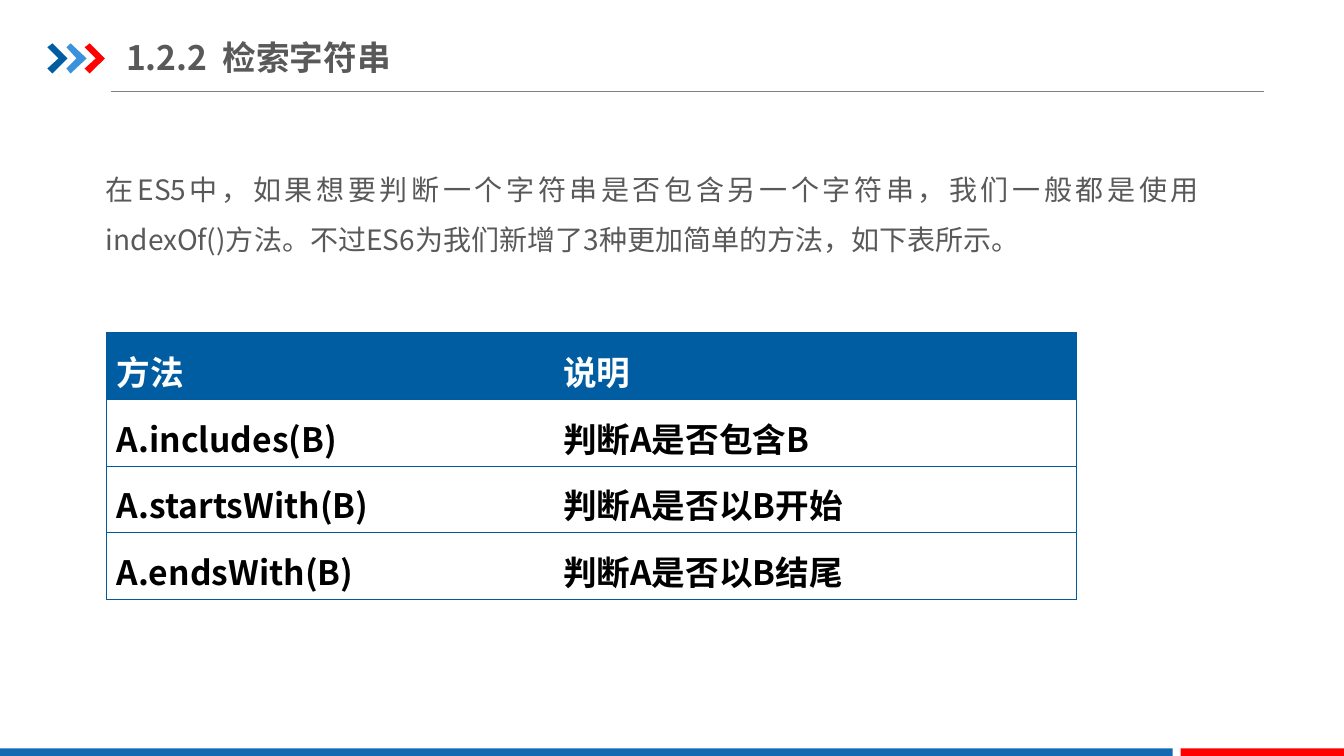
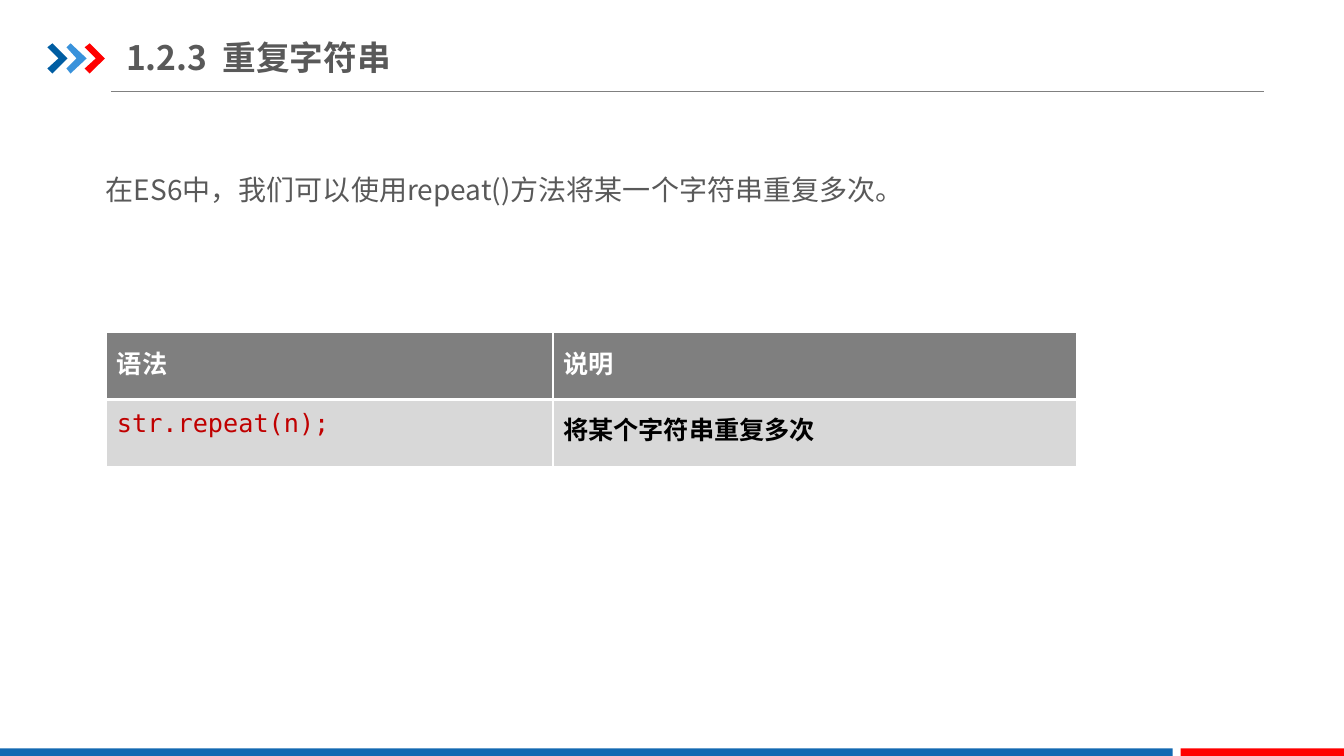
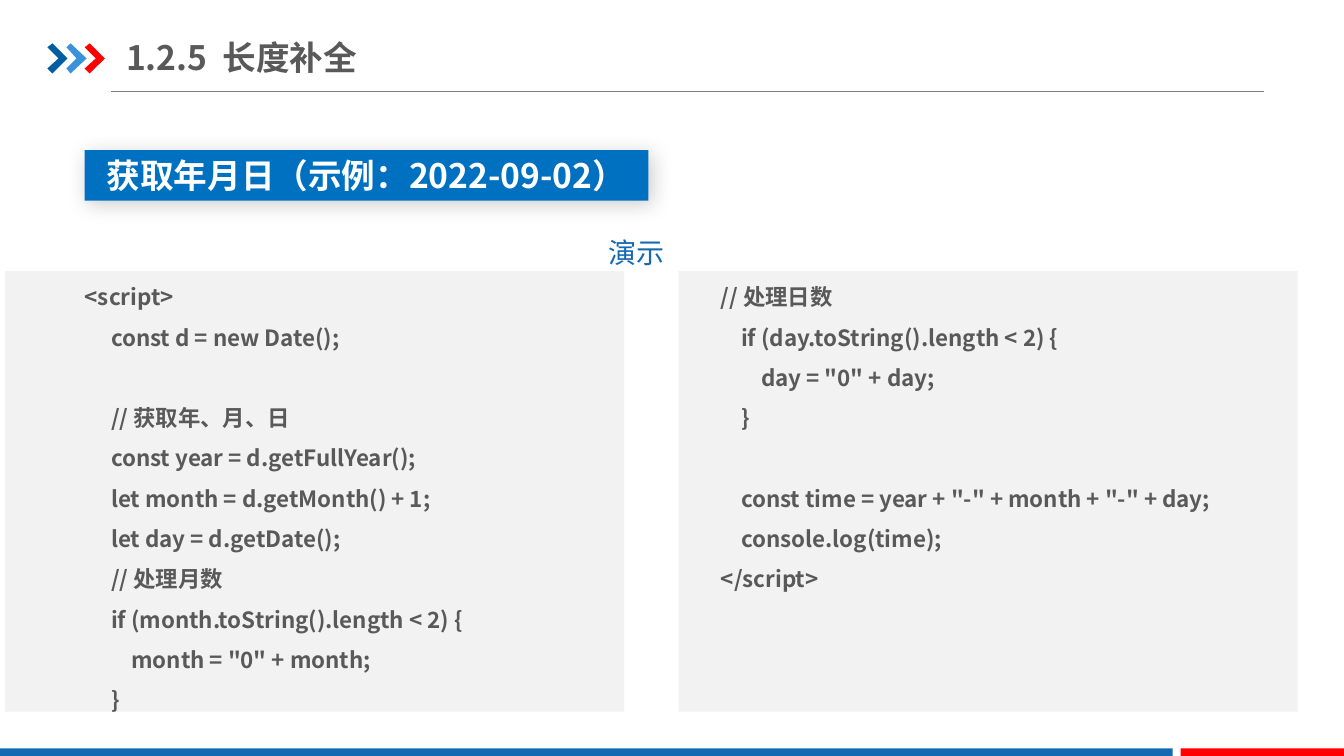
import pptx
import pptx.util
import pptx.dml.color
import pptx.enum.shapes
import pptx.enum.text
import pptx.oxml
import pptx.oxml.ns
import lxml.etree

Pt, Inches = pptx.util.Pt, pptx.util.Inches
ALIGN, ANCHOR = pptx.enum.text.PP_ALIGN, pptx.enum.text.MSO_ANCHOR
RECT = pptx.enum.shapes.MSO_SHAPE.RECTANGLE
WIDE, HIGH = Inches(13.33), Inches(7.5)

# Shared style
SANS, MONO = "Noto Sans CJK SC", "DejaVu Sans Mono"
GREY, BLUE, NAVY, RED = "595959", "1369B2", "005DA2", "FF0000"
WHITE, BLACK = "FFFFFF", "000000"
LINE_GAP = 28.7  # height of one code line, in points

LEFT_CODE = [
    (0.7, "<script>"),
    (2, "const d = new Date();"),
    None,
    (2, "// 获取年、月、日"),
    (2, "const year = d.getFullYear();"),
    (2, "let month = d.getMonth() + 1;"),
    (2, "let day = d.getDate();"),
    (2, "// 处理月数"),
    (2, "if (month.toString().length < 2) {"),
    (3, 'month = "0" + month;'),
    (2, "}"),
]
RIGHT_CODE = [
    (1, "// 处理日数"),
    (2, "if (day.toString().length < 2) {"),
    (3, 'day = "0" + day;'),
    (2, "}"),
    None,
    (2, 'const time = year + "-" + month + "-" + day;'),
    (2, "console.log(time);"),
    (1, "</script>"),
]


def color(code):
    return pptx.dml.color.RGBColor.from_string(code)


def area(x, y, w, h):
    """Turn shares of the slide, in percent, into lengths."""
    return [round(part * side / 100)
            for part, side in zip((x, y, w, h), (WIDE, HIGH, WIDE, HIGH))]


def move(shape, box):
    shape.left, shape.top, shape.width, shape.height = area(*box)


def child(parent, tag, **attrs):
    node = lxml.etree.SubElement(parent, pptx.oxml.ns.qn(tag))
    for key, value in attrs.items():
        node.set(key, str(value))
    return node


def paint(shape, code):
    shape.shadow.inherit = False
    shape.fill.solid()
    shape.fill.fore_color.rgb = color(code)
    shape.line.fill.background()


def block(slide, box, code):
    shape = slide.shapes.add_shape(RECT, *area(*box))
    paint(shape, code)
    return shape


def style(frame, size, code, bold=False, font=SANS, align=ALIGN.LEFT, space=None):
    for para in frame.paragraphs:
        para.alignment = align
        para.line_spacing = space
        para.space_before = Pt(0)
        for run in para.runs:
            run.font.size, run.font.bold, run.font.name = Pt(size), bold, font
            run.font.color.rgb = color(code)
            child(run.font._element, "a:ea", typeface=font)


def inset(frame, side, edge):
    frame.margin_left = frame.margin_right = Inches(side)
    frame.margin_top = frame.margin_bottom = Inches(edge)
    frame.auto_size = pptx.enum.text.MSO_AUTO_SIZE.NONE
    frame.word_wrap = True


def plain(para, indent=0):
    """Drop the bullet and set the left indent, in inches."""
    props = para._p.get_or_add_pPr()
    props.set("marL", str(Inches(indent)))
    props.set("indent", "0")
    child(props, "a:buNone")


# Rule, chevrons and foot bands, kept on the master
def brand(deck, slide):
    rule = slide.shapes.add_connector(
        pptx.enum.shapes.MSO_CONNECTOR.STRAIGHT,
        *area(8.25, 12.13, 94.07, 12.13))
    rule.line.color.rgb = color("808080")
    rule.line.width = Pt(0.75)
    child(rule.element.spPr, "a:effectLst")
    parts = [rule]
    outline = [(0, 4), (5, 0), (20, 15), (5, 30), (0, 25), (11, 15)]
    for step, code in enumerate((NAVY, "3992DB", RED)):
        points = [(47 + 18.5 * step + x, 43 + y) for x, y in outline]
        pen = slide.shapes.build_freeform(*points[0], scale=Inches(0.01))
        pen.add_line_segments(points[1:], close=True)
        mark = pen.convert_to_shape()
        paint(mark, code)
        parts.append(mark)
    parts.append(block(slide, (0, 99, 87.25, 1), BLUE))
    parts.append(block(slide, (87.85, 99, 12.15, 1), RED))
    for number, part in enumerate(parts, 20):
        part.element.xpath(".//p:cNvPr")[0].set("id", str(number))
        deck.slide_master.shapes.element.append(part.element)


def start(deck, layout, text):
    slide = deck.slides.add_slide(deck.slide_layouts[layout])
    title = slide.shapes.title
    move(title, (9.38, 3.87, 31.96, 7.33))
    frame = title.text_frame
    frame.text = text
    inset(frame, 0, 0.07)
    frame.vertical_anchor = ANCHOR.MIDDLE
    style(frame, 24, GREY, True)
    return slide


def intro(slide, text, rows):
    body = slide.placeholders[1]
    move(body, (6.9, 19.6, 83.27, 1.07 + 6.67 * rows))
    frame = body.text_frame
    frame.text = text
    inset(frame, 0.13, 0.07)
    style(frame, 20, GREY, align=ALIGN.JUSTIFY, space=1.5)
    plain(frame.paragraphs[0])


# Tables
def edge(cell, sides):
    """Set cell borders; sides maps L, R, T, B to (colour, width) or None."""
    props = cell._tc.get_or_add_tcPr()
    for spot, side in enumerate("LRTB"):
        line = pptx.oxml.parse_xml(
            f'<a:ln{side} {pptx.oxml.ns.nsdecls("a")}/>')
        if sides[side]:
            code, width = sides[side]
            line.set("w", str(Pt(width)))
            child(child(line, "a:solidFill"), "a:srgbClr", val=code)
        else:
            child(line, "a:noFill")
        props.insert(spot, line)


def grid(slide, data, size, fills, border, inner, under):
    """Draw a two-column table; under is the line below the head row."""
    box = area(7.95, 44, 72.17, 8.83 * len(data))
    table = slide.shapes.add_table(len(data), 2, *box).table
    table.horz_banding = False
    for column, share in zip(table.columns, (0.46, 0.54)):
        column.width = round(box[2] * share)
    for r, row in enumerate(data):
        for c, text in enumerate(row):
            cell = table.cell(r, c)
            cell.text = text
            cell.margin_top = cell.margin_bottom = Inches(0.04)
            cell.fill.solid()
            cell.fill.fore_color.rgb = color(fills[min(r, 1)])
            style(cell.text_frame, size, BLACK if r else WHITE, True, space=1.2)
            edge(cell, {"L": inner if c else border,
                        "R": border if c else inner,
                        "T": under if r == 1 else border,
                        "B": under if r == 0 else border})
    return table


# Code panels and their heading
def badge(slide, text):
    shape = block(slide, (6.3, 19.87, 41.94, 6.67), "0070C0")
    frame = shape.text_frame
    frame.text = text
    frame.word_wrap = False
    frame.vertical_anchor = ANCHOR.MIDDLE
    style(frame, 24, WHITE, True, align=ALIGN.CENTER)
    effects = shape.element.spPr.find(pptx.oxml.ns.qn("a:effectLst"))
    shadow = child(effects, "a:outerShdw", blurRad=Pt(15), dist=Pt(3),
                   dir=45 * 60000, algn="tl", rotWithShape=0)
    child(child(shadow, "a:srgbClr", val=BLACK), "a:alpha", val=20000)


def label(slide, text):
    frame = slide.shapes.add_textbox(*area(27.53, 28, 39.61, 7.73)).text_frame
    frame.text = text
    inset(frame, 0.13, 0.07)
    style(frame, 20, BLUE, align=ALIGN.CENTER, space=1.5)


def panel(slide, holder, x, shift, code):
    back = block(slide, (x, 35.87, 46.06, 58.27), "F2F2F2")
    slide.shapes.element.insert(2, back.element)
    move(holder, (x + shift, 35.07, 39.61, 60.67))
    frame = holder.text_frame
    frame.text = "\n".join(line[1] for line in code if line)
    inset(frame, 0.1, 0.05)
    style(frame, 16, GREY, True, space=1.5)
    paras = iter(frame.paragraphs)
    gap = 0
    for line in code:
        if line is None:
            gap = LINE_GAP
            continue
        para = next(paras)
        para.space_before = Pt(gap)
        plain(para, 0.2 * line[0])
        gap = 0


def main():
    deck = pptx.Presentation()
    deck.slide_width, deck.slide_height = WIDE, HIGH

    # Searching
    slide = start(deck, 1, "1.2.2  检索字符串")
    brand(deck, slide)
    intro(slide, "在ES5中，如果想要判断一个字符串是否包含另一个字符串，我们一般都是使用"
          "indexOf()方法。不过ES6为我们新增了3种更加简单的方法，如下表所示。", 2)
    line = ("005B9E", 0.75)
    grid(slide, [("方法", "说明"),
                 ("A.includes(B)", "判断A是否包含B"),
                 ("A.startsWith(B)", "判断A是否以B开始"),
                 ("A.endsWith(B)", "判断A是否以B结尾")],
         24, (NAVY, WHITE), line, None, line)

    # Repeating
    slide = start(deck, 1, "1.2.3  重复字符串")
    intro(slide, "在ES6中，我们可以使用repeat()方法将某一个字符串重复多次。", 1)
    thin = (WHITE, 1)
    table = grid(slide, [("语法", "说明"),
                         ("str.repeat(n);", "将某个字符串重复多次")],
                 18, ("7F7F7F", "D8D8D8"), thin, thin, (WHITE, 3))
    syntax = table.cell(1, 0)
    syntax.text = "str.repeat(n);"
    style(syntax.text_frame, 18, "C00000", font=MONO, space=1.2)

    # Padding
    slide = start(deck, 3, "1.2.5  长度补全")
    panel(slide, slide.placeholders[1], 0.38, 4.13, LEFT_CODE)
    panel(slide, slide.placeholders[2], 50.49, 0.9, RIGHT_CODE)
    label(slide, "演示")
    badge(slide, "获取年月日（示例：2022-09-02）")

    deck.save("out.pptx")


if __name__ == "__main__":
    main()
